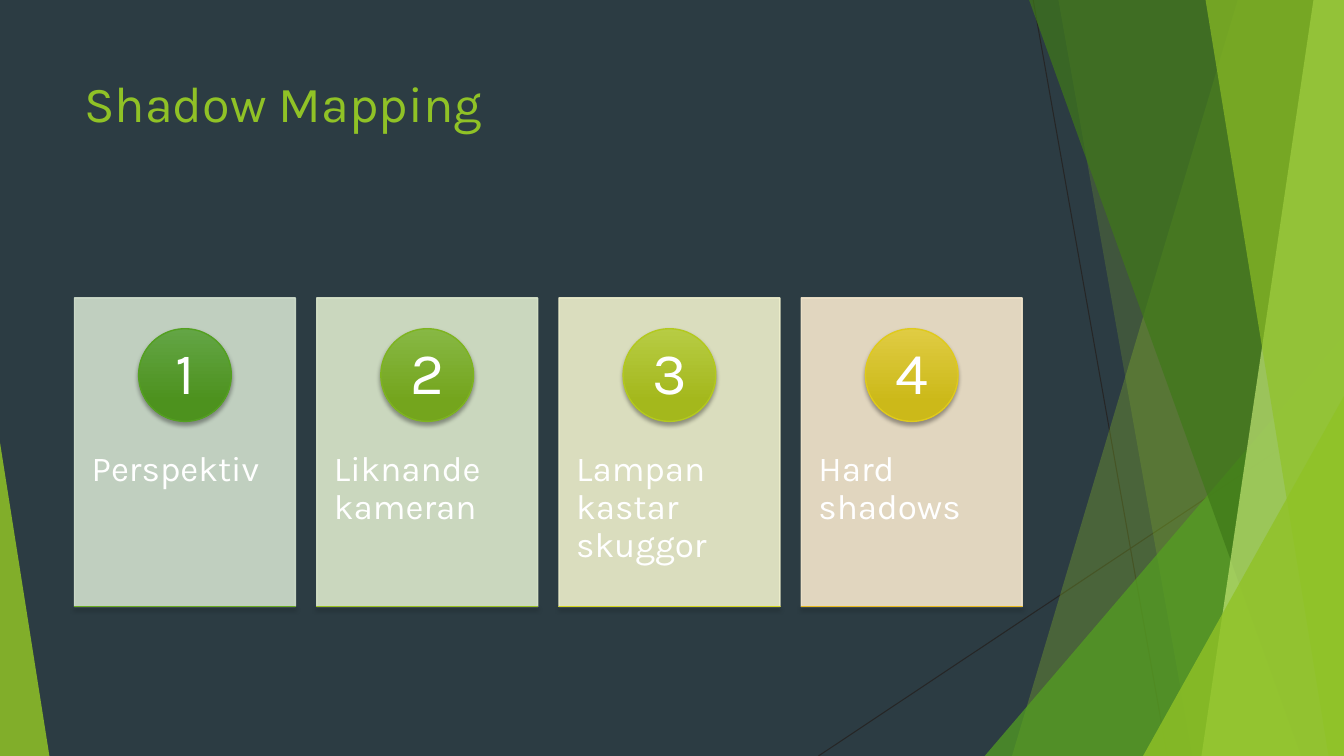
from dataclasses import dataclass

import pptx
import pptx.dml.color
import pptx.enum.shapes
import pptx.enum.text
import pptx.oxml
import pptx.oxml.ns
import pptx.util

Pt = pptx.util.Pt
SHAPE = pptx.enum.shapes.MSO_SHAPE
ALIGN = pptx.enum.text.PP_ALIGN
ANCHOR = pptx.enum.text.MSO_ANCHOR
qn = pptx.oxml.ns.qn

WIDTH, HEIGHT = 960, 540
FONT = "Karla"
COLORS = {
    "background": "2C3C43",
    "lime": "90C226",
    "green": "54A021",
    "forest": "3F7819",
    "pale": "C0E474",
    "hairline": "262626",
    "white": "FFFFFF",
    "shadow": "000000",
}


@dataclass
class Band:
    """Sloped panel that reaches the right edge of the slide."""
    top_x: float
    bottom_x: float
    color: str
    alpha: int


@dataclass
class Corner:
    """Right triangle standing on the bottom edge; apex 0 is left, 1 is right."""
    left: float
    top: float
    width: float
    apex: int
    color: str
    alpha: int


@dataclass
class Gradient:
    start: str
    end: str
    line: str


@dataclass
class Card:
    caption: str
    tint: str
    badge: Gradient
    strip: Gradient


DECOR = [
    Band(884.2, 722.9, "lime", 30),
    Band(756, 851.8, "lime", 20),
    Corner(703.4, 239.8, 256.6, 1, "green", 72),
    Band(735.1, 929.5, "forest", 70),
    Band(938.2, 858.2, "pale", 70),
    Band(861.1, 949, "lime", 65),
    Corner(816.5, 283, 143.5, 1, "lime", 80),
    Corner(0, 316.1, 35.3, 0, "lime", 85),
]
HAIRLINES = [(738, 0, 833.8, HEIGHT), (WIDTH, 290.2, 584.6, HEIGHT)]

CARDS = [
    Card("Perspektiv", "D1DFCD", Gradient("63A545", "4D921E", "54A021"),
         Gradient("74AE44", "5F9C1E", "68AA21")),
    Card("Liknande kameran", "DCE8CC", Gradient("87B844", "74A51D", "7EB420"),
         Gradient("9DC244", "8BAE1D", "97BF1F")),
    Card("Lampan kastar skuggor", "EEEFCC", Gradient("B7CC44", "A4B81C", "B3C91E"),
         Gradient("D4D643", "C0C21B", "D2D41D")),
    Card("Hard shadows", "F5E7CD", Gradient("E0CC43", "CCB919", "DFCA1C"),
         Gradient("E7BC43", "D2A91B", "E6B91E")),
]
CARD_LEFT, CARD_TOP, CARD_W, CARD_H, CARD_PITCH = 53.2, 212.8, 157.8, 220.4, 173.05
BADGE_TOP, BADGE_SIZE = 234.8, 66.2


def rgb(value: str) -> pptx.dml.color.RGBColor:
    return pptx.dml.color.RGBColor.from_string(value)


def set_fill(fill, color: str, alpha: int) -> None:
    fill.solid()
    fill.fore_color.rgb = rgb(color)
    node = next(fill._xPr.iter(qn("a:srgbClr")))
    node.makeelement
    node.append(node.makeelement(qn("a:alpha"), {"val": str(alpha * 1000)}))


def set_line(s, color: str, width: float) -> None:
    s.line.color.rgb = rgb(color)
    s.line.width = Pt(width)


def set_gradient(s, gradient: Gradient) -> None:
    s.fill.gradient()
    s.fill.gradient_angle = 270
    first, last = s.fill.gradient_stops
    first.color.rgb, first.position = rgb(gradient.start), 0
    last.color.rgb, last.position = rgb(gradient.end), 0.78
    set_line(s, gradient.line, 1)


def set_shadow(s) -> None:
    effects = s._element.spPr.find(qn("a:effectLst"))
    effects.append(pptx.oxml.parse_xml(
        f'<a:outerShdw {pptx.oxml.ns.nsdecls("a")} blurRad="{Pt(3)}" dist="{Pt(2)}" '
        f'dir="5400000" rotWithShape="0"><a:srgbClr val="{COLORS["shadow"]}">'
        '<a:alpha val="35000"/></a:srgbClr></a:outerShdw>'))


def add_shape(sl, kind, left: float, top: float, width: float, height: float):
    s = sl.shapes.add_shape(kind, Pt(left), Pt(top), Pt(width), Pt(height))
    s.shadow.inherit = False
    return s


def write(s, text: str, size: float, color: str, align, anchor, insets, spacing: float) -> None:
    tf = s.text_frame
    tf.word_wrap = True
    tf.vertical_anchor = anchor
    tf.margin_left, tf.margin_top, tf.margin_right, tf.margin_bottom = map(Pt, insets)
    p = tf.paragraphs[0]
    p.alignment = align
    p.line_spacing = spacing
    r = p.add_run()
    r.text = text
    r.font.name = FONT
    r.font.size = Pt(size)
    r.font.color.rgb = rgb(color)


def draw_hairline(sl, x1: float, y1: float, x2: float, y2: float) -> None:
    s = sl.shapes.add_connector(pptx.enum.shapes.MSO_CONNECTOR.STRAIGHT,
                                Pt(x1), Pt(y1), Pt(x2), Pt(y2))
    set_line(s, COLORS["hairline"], 0.75)
    sp = s._element.spPr
    sp.append(sp.makeelement(qn("a:effectLst"), {}))


def draw_decor(sl, part: Band | Corner) -> None:
    if isinstance(part, Band):
        builder = sl.shapes.build_freeform(Pt(part.top_x), 0)
        builder.add_line_segments([(Pt(WIDTH), 0), (Pt(WIDTH), Pt(HEIGHT)),
                                   (Pt(part.bottom_x), Pt(HEIGHT))])
        s = builder.convert_to_shape()
        s.shadow.inherit = False
    else:
        s = add_shape(sl, SHAPE.ISOSCELES_TRIANGLE, part.left, part.top,
                      part.width, HEIGHT - part.top)
        s.adjustments[0] = part.apex
    set_fill(s.fill, COLORS[part.color], part.alpha)
    s.line.fill.background()


def draw_card(sl, index: int, card: Card) -> None:
    left = CARD_LEFT + index * CARD_PITCH
    panel = add_shape(sl, SHAPE.RECTANGLE, left, CARD_TOP, CARD_W, CARD_H)
    set_fill(panel.fill, card.tint, 90)
    set_line(panel, card.tint, 1)
    set_fill(panel.line.fill, card.tint, 90)
    write(panel, card.caption, 25, COLORS["white"], ALIGN.LEFT, ANCHOR.TOP,
          (12.3, 109.8, 12.3, 26), 0.9)

    badge = add_shape(sl, SHAPE.OVAL, left + (CARD_W - BADGE_SIZE) / 2, BADGE_TOP,
                      BADGE_SIZE, BADGE_SIZE)
    set_gradient(badge, card.badge)
    set_shadow(badge)
    write(badge, str(index + 1), 42, COLORS["white"], ALIGN.CENTER, ANCHOR.MIDDLE,
          (5, 1, 5, 1), 0.9)

    strip = add_shape(sl, SHAPE.RECTANGLE, left, CARD_TOP + CARD_H, CARD_W, 0.1)
    set_gradient(strip, card.strip)
    set_shadow(strip)


def main() -> None:
    prs = pptx.Presentation()
    prs.slide_width, prs.slide_height = Pt(WIDTH), Pt(HEIGHT)
    sl = prs.slides.add_slide(prs.slide_layouts[6])
    sl.background.fill.solid()
    sl.background.fill.fore_color.rgb = rgb(COLORS["background"])

    # Side decoration
    for ends in HAIRLINES:
        draw_hairline(sl, *ends)
    for part in DECOR:
        draw_decor(sl, part)

    # Title
    title = sl.shapes.add_textbox(Pt(53.2), Pt(48), Pt(677), Pt(104))
    write(title, "Shadow Mapping", 36, COLORS["lime"], ALIGN.LEFT, ANCHOR.TOP,
          (7.2, 3.6, 7.2, 3.6), 1.0)

    # Numbered cards
    for index, card in enumerate(CARDS):
        draw_card(sl, index, card)

    prs.save("out.pptx")


if __name__ == "__main__":
    main()
